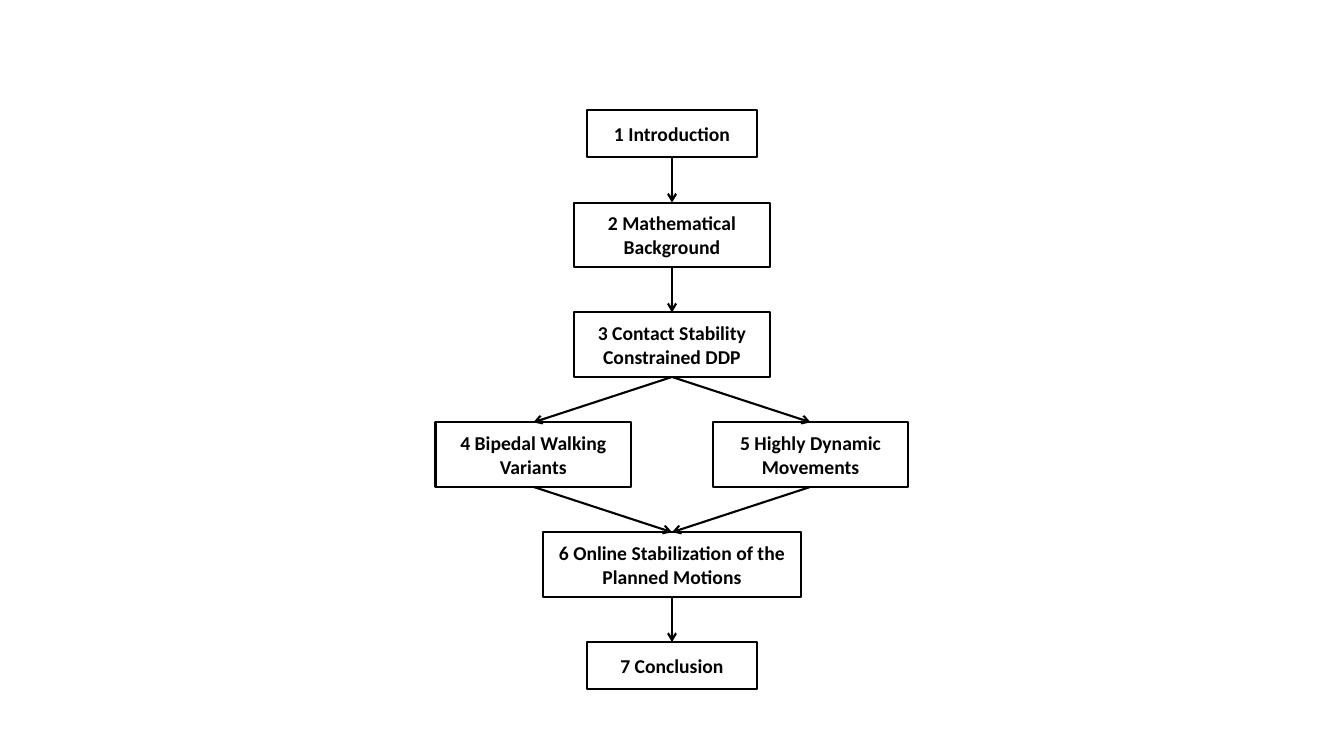
from pptx import Presentation
from pptx import util as u
from pptx.dml.color import RGBColor
from pptx.enum import shapes, text
from pptx.oxml.ns import qn
from lxml import etree

WIDTH, HEIGHT = 13.33, 7.5
TOP, GAP = 1.09, 0.45
BRANCH = 1.375  # offset of the two parallel chapters from the centre
SMALL, MEDIUM, WIDE = (1.69, 0.47), (1.94, 0.64), (2.56, 0.64)


def color(value):
    return RGBColor.from_string(value)


def write(tf, content, size=14, bold=True, font="Calibri", fill="000000"):
    tf.word_wrap = True
    tf.vertical_anchor = text.MSO_ANCHOR.MIDDLE
    p = tf.paragraphs[0]
    p.alignment = text.PP_ALIGN.CENTER
    r = p.add_run()
    r.text = content
    r.font.size, r.font.bold, r.font.name = u.Pt(size), bold, font
    r.font.color.rgb = color(fill)


class Flowchart:
    def __init__(self, s, ink="000000", weight=1.5):
        self.s, self.ink, self.weight = s, ink, weight

    def outline(self, line):
        line.color.rgb = color(self.ink)
        line.width = u.Pt(self.weight)

    def box(self, content, center, top, size):
        w, h = size
        sp = self.s.shapes.add_shape(
            shapes.MSO_SHAPE.RECTANGLE, u.Inches(center - w / 2),
            u.Inches(top), u.Inches(w), u.Inches(h))
        sp.shadow.inherit = False
        sp.fill.background()
        self.outline(sp.line)
        write(sp.text_frame, content, fill=self.ink)
        return sp

    def arrow(self, start, end):
        c = self.s.shapes.add_connector(shapes.MSO_CONNECTOR.STRAIGHT, 0, 0, 0, 0)
        c.begin_connect(start, 2)
        c.end_connect(end, 0)
        self.outline(c.line)
        etree.SubElement(c.line._get_or_add_ln(), qn("a:tailEnd"), type="arrow")
        etree.SubElement(c._element.spPr, qn("a:effectLst"))


def main():
    prs = Presentation()
    prs.slide_width, prs.slide_height = u.Inches(WIDTH), u.Inches(HEIGHT)
    chart = Flowchart(prs.slides.add_slide(prs.slide_layouts[6]))

    # Chapters, row by row: box size and (text, offset from centre)
    rows = [
        (SMALL, [("1 Introduction", 0)]),
        (MEDIUM, [("2 Mathematical Background", 0)]),
        (MEDIUM, [("3 Contact Stability Constrained DDP", 0)]),
        (MEDIUM, [("4 Bipedal Walking Variants", -BRANCH),
                  ("5 Highly Dynamic Movements", BRANCH)]),
        (WIDE, [("6 Online Stabilization of the Planned Motions", 0)]),
        (SMALL, [("7 Conclusion", 0)]),
    ]
    levels, top = [], TOP
    for size, chapters in rows:
        levels.append([chart.box(content, WIDTH / 2 + offset, top, size)
                       for content, offset in chapters])
        top += size[1] + GAP

    # Arrows from every chapter to those in the next row
    for upper, lower in zip(levels, levels[1:]):
        for start in upper:
            for end in lower:
                chart.arrow(start, end)

    prs.save("out.pptx")


if __name__ == "__main__":
    main()
